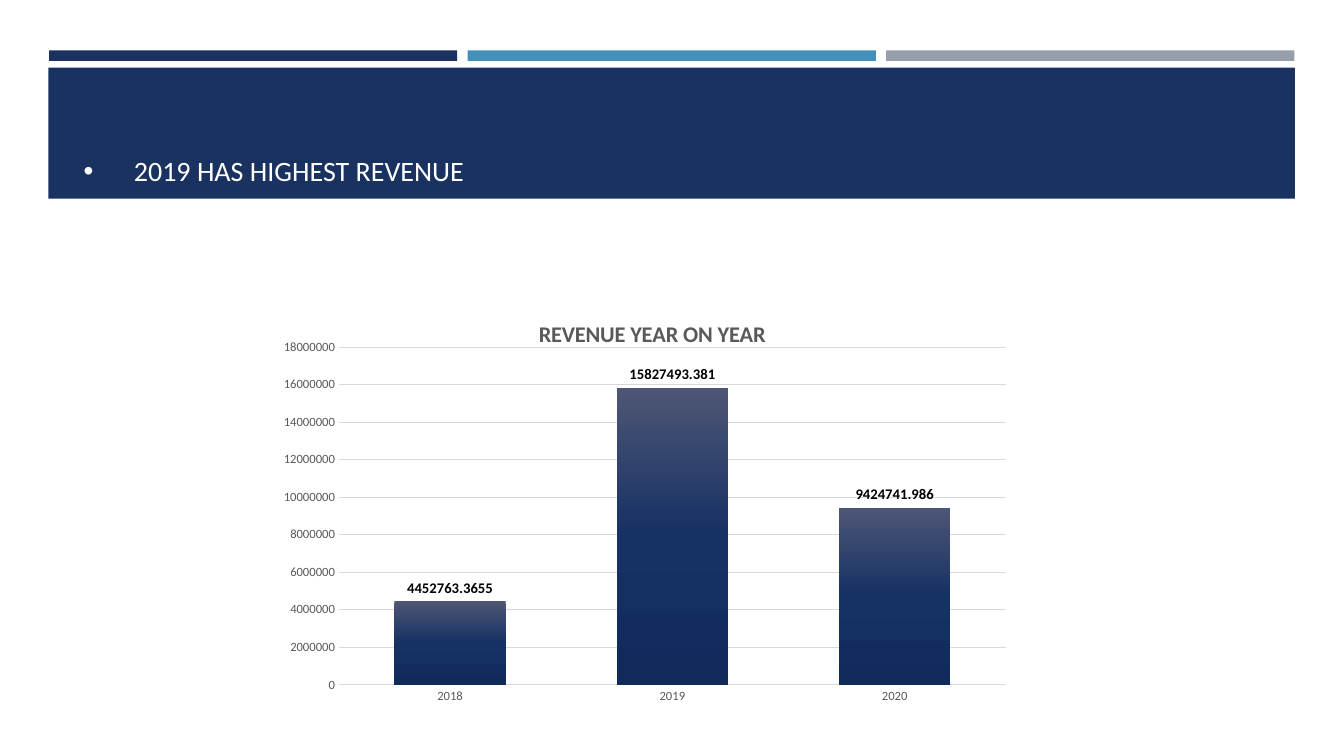
"""Build a slide with a headline band and a yearly revenue column chart."""
from dataclasses import dataclass

import lxml.etree
import pptx
import pptx.chart.data
import pptx.dml.color
import pptx.enum.chart
import pptx.enum.shapes
import pptx.enum.text
import pptx.oxml.ns
import pptx.util

Pt = pptx.util.Pt
qn = pptx.oxml.ns.qn

COLORS = {
    "navy": "1A3260", "blue": "4590B8", "gray": "969FA7", "white": "FFFFFF",
    "black": "000000", "text": "595959", "grid": "D9D9D9",
}
COLUMN_GRADIENT = {0: "4E5675", 50: "163164", 100: "112A5C"}
REVENUE = {"2018": 4452763.3655, "2019": 15827493.381, "2020": 9424741.986}
FONT = "Calibri"


@dataclass(frozen=True)
class Bar:
    left: float
    top: float
    width: float
    height: float
    color: str


BARS = [
    Bar(35 + 299 * index, 36, 291.6, 7.5, color)
    for index, color in enumerate(("navy", "blue", "gray"))
] + [Bar(34.6, 48.3, 890.4, 93.6, "navy")]


def rgb(name: str) -> pptx.dml.color.RGBColor:
    return pptx.dml.color.RGBColor.from_string(COLORS[name])


def style_font(font, size: float, color: str, bold: bool = False) -> None:
    font.name = FONT
    font.size = Pt(size)
    font.bold = bold
    font.color.rgb = rgb(color)


def draw_bar(slide, bar: Bar) -> None:
    shape = slide.shapes.add_shape(
        pptx.enum.shapes.MSO_SHAPE.RECTANGLE,
        Pt(bar.left), Pt(bar.top), Pt(bar.width), Pt(bar.height),
    )
    shape.shadow.inherit = False
    shape.fill.solid()
    shape.fill.fore_color.rgb = rgb(bar.color)
    shape.line.fill.background()


def draw_headline(slide) -> None:
    shape = slide.shapes.add_textbox(Pt(52.6), Pt(57.6), Pt(868.3), Pt(79.9))
    text_frame = shape.text_frame
    text_frame.word_wrap = True
    text_frame.vertical_anchor = pptx.enum.text.MSO_ANCHOR.BOTTOM
    text_frame.text = "2019 HAS HIGHEST REVENUE"
    paragraph = text_frame.paragraphs[0]
    style_font(paragraph.runs[0].font, 20, "white")
    properties = paragraph._p.get_or_add_pPr()
    properties.set("marL", str(Pt(36)))
    properties.set("indent", str(-Pt(36)))
    lxml.etree.SubElement(properties, qn("a:buFont"), typeface="Arial")
    lxml.etree.SubElement(properties, qn("a:buChar"), char="•")


def set_layout(parent, index: int, **settings: object) -> None:
    for existing in parent.findall(qn("c:layout")):
        parent.remove(existing)
    layout = lxml.etree.SubElement(parent, qn("c:layout"))
    parent.insert(index, layout)
    manual = lxml.etree.SubElement(layout, qn("c:manualLayout"))
    for name, value in settings.items():
        lxml.etree.SubElement(manual, qn(f"c:{name}"), val=str(value))


def fill_gradient(series) -> None:
    properties = series._element.get_or_add_spPr()
    gradient = lxml.etree.SubElement(properties, qn("a:gradFill"))
    stops = lxml.etree.SubElement(gradient, qn("a:gsLst"))
    for position, color in COLUMN_GRADIENT.items():
        stop = lxml.etree.SubElement(stops, qn("a:gs"), pos=str(position * 1000))
        lxml.etree.SubElement(stop, qn("a:srgbClr"), val=color)
    lxml.etree.SubElement(gradient, qn("a:lin"), ang=str(90 * 60000), scaled="0")


def style_axes(chart) -> None:
    for axis in (chart.category_axis, chart.value_axis):
        axis.major_tick_mark = pptx.enum.chart.XL_TICK_MARK.NONE
        axis.minor_tick_mark = pptx.enum.chart.XL_TICK_MARK.NONE
        style_font(axis.tick_labels.font, 9, "text")
    value_axis = chart.value_axis
    value_axis.minimum_scale = 0
    value_axis.maximum_scale = 18000000
    value_axis.major_unit = 2000000
    value_axis.format.line.fill.background()
    for line in (chart.category_axis.format.line, value_axis.major_gridlines.format.line):
        line.color.rgb = rgb("grid")
        line.width = Pt(0.75)


def draw_chart(slide) -> None:
    data = pptx.chart.data.CategoryChartData()
    data.categories = list(REVENUE)
    data.add_series("Series 1", list(REVENUE.values()))
    chart = slide.shapes.add_chart(
        pptx.enum.chart.XL_CHART_TYPE.COLUMN_CLUSTERED,
        Pt(193.7), Pt(209.5), Pt(537.8), Pt(302.4), data,
    ).chart
    style_font(chart.font, 10, "black")
    chart.has_legend = False
    chart.has_title = True
    title = chart.chart_title
    title.text_frame.text = "REVENUE YEAR ON YEAR"
    style_font(title.text_frame.paragraphs[0].runs[0].font, 16, "text", bold=True)
    set_layout(title._element, 1, xMode="edge", yMode="edge", x=0.35, y=0.05)
    set_layout(
        chart._chartSpace.chart.plotArea, 0, layoutTarget="inner",
        xMode="edge", yMode="edge", x=0.09, y=0.127, w=0.886, h=0.798,
    )
    style_axes(chart)
    plot = chart.plots[0]
    plot.vary_by_categories = False
    plot.gap_width = 100
    plot.overlap = -24
    fill_gradient(plot.series[0])
    plot.has_data_labels = True
    labels = plot.data_labels
    labels.show_value = True
    labels.number_format = "General"
    labels.number_format_is_linked = False
    labels.position = pptx.enum.chart.XL_LABEL_POSITION.OUTSIDE_END
    style_font(labels.font, 10.5, "black", bold=True)


def main() -> None:
    presentation = pptx.Presentation()
    presentation.slide_width = Pt(960)
    presentation.slide_height = Pt(540)
    slide = presentation.slides.add_slide(presentation.slide_layouts[6])
    for bar in BARS:
        draw_bar(slide, bar)
    draw_headline(slide)
    draw_chart(slide)
    presentation.save("out.pptx")


if __name__ == "__main__":
    main()
